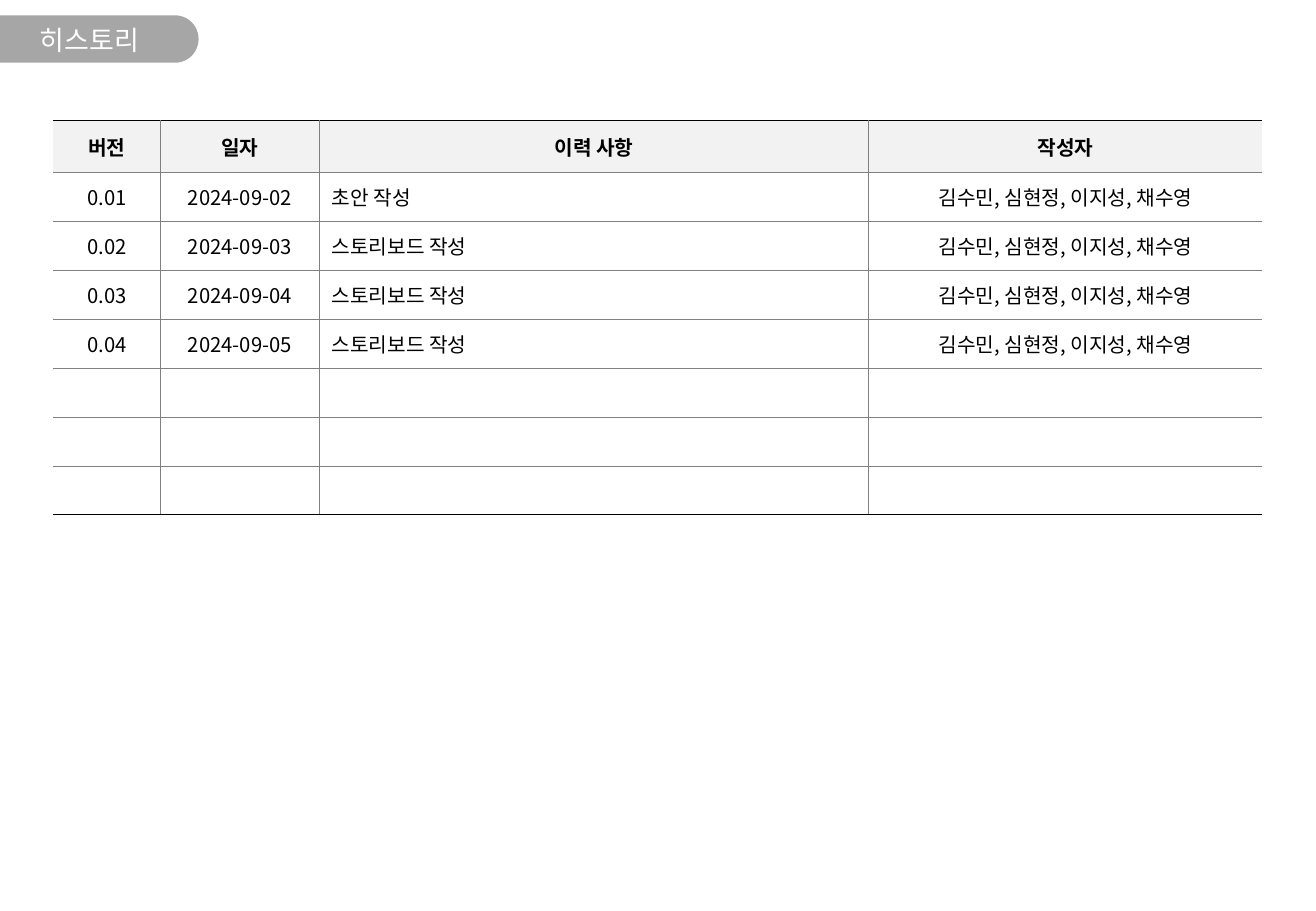
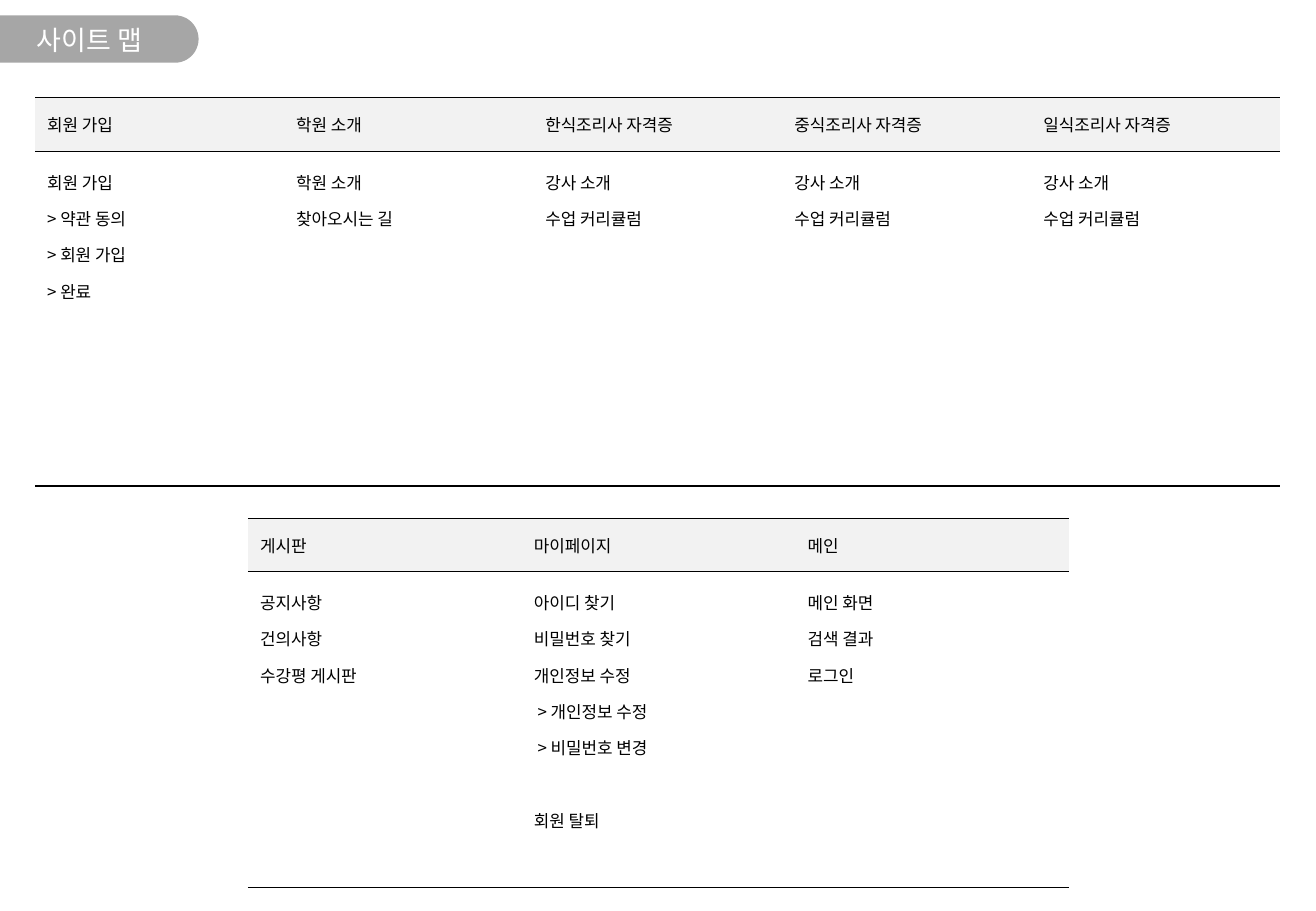
from lxml import etree
from pptx import Presentation
from pptx.dml.color import RGBColor
from pptx.enum.shapes import MSO_SHAPE
from pptx.enum.text import MSO_ANCHOR, MSO_AUTO_SIZE, PP_ALIGN
from pptx.oxml.ns import qn
from pptx.util import Inches, Pt

MIDDLE, TOP = MSO_ANCHOR.MIDDLE, MSO_ANCHOR.TOP
CENTER, LEFT = PP_ALIGN.CENTER, PP_ALIGN.LEFT
TAB = MSO_SHAPE.ROUND_2_SAME_RECTANGLE
NO_FIT = MSO_AUTO_SIZE.NONE

WIDTH, HEIGHT = Inches(10.83), Inches(7.5)
FONT = "Noto Sans CJK KR"
COLORS = {"band": "A6A6A6", "head": "F2F2F2", "page": "FFFFFF",
          "text": "000000", "rule": "000000", "grid": "808080"}
RULE, GRID = ("rule", 0.75), ("grid", 0.5)
LINE_GAP = Pt(21.6)

# Boxes are left, top, width, height in percent of the slide
BAND_BOX = (-0.05, 1.68, 15.14, 5.2)
TITLE_BOX = (-0.09, 1.73, 13.76, 5.2)
LOG_BOX = (4.06, 13.2, 91.87, 43.33)
MAIN_BOX = (2.66, 10.75, 94.64, 42.6)
MORE_BOX = (18.84, 56.87, 62.42, 40.53)
LOG_HEAD, MAP_HEAD = 5.76, 5.87

TEAM = "김수민, 심현정, 이지성, 채수영"
LOG_COLS = (0.88, 1.31, 4.52, 3.24)
LOG = [
    ("버전", "일자", "이력 사항", "작성자"),
    ("0.01", "2024-09-02", "초안 작성", TEAM),
    ("0.02", "2024-09-03", "스토리보드 작성", TEAM),
    ("0.03", "2024-09-04", "스토리보드 작성", TEAM),
    ("0.04", "2024-09-05", "스토리보드 작성", TEAM),
] + [("",) * 4] * 3

COURSE = ["강사 소개", "수업 커리큘럼"]
MAIN_MAP = {
    "회원 가입": ["회원 가입", "> 약관 동의", "> 회원 가입", "> 완료"],
    "학원 소개": ["학원 소개", "찾아오시는 길"],
    "한식조리사 자격증": COURSE,
    "중식조리사 자격증": COURSE,
    "일식조리사 자격증": COURSE,
}
# An empty entry opens a gap above the next one
MORE_MAP = {
    "게시판": ["공지사항", "건의사항", "수강평 게시판"],
    "마이페이지": ["아이디 찾기", "비밀번호 찾기", "개인정보 수정",
              " > 개인정보 수정", " > 비밀번호 변경", "", "회원 탈퇴"],
    "메인": ["메인 화면", "검색 결과", "로그인"],
}


def rgb(name):
    return RGBColor.from_string(COLORS[name])


def scale(box):
    x, y, w, h = box
    return [int(v) for v in (WIDTH * x / 100, HEIGHT * y / 100,
                             WIDTH * w / 100, HEIGHT * h / 100)]


def style(para, size, color="text", bold=False, align=LEFT):
    para.alignment = align
    font = para.font
    font.size, font.bold, font.name = Pt(size), bold, FONT
    font.color.rgb = rgb(color)
    props = para._p.pPr.find(qn("a:defRPr"))
    etree.SubElement(props, qn("a:ea"), typeface=FONT)
    if not para.text:
        etree.SubElement(para._p, qn("a:endParaRPr"), sz=str(size * 100))


def edge(cell, sides):
    """Draw the cell's borders; a side set to None stays clear."""
    props = cell._tc.get_or_add_tcPr()
    for side in "LRTB":
        line = etree.SubElement(props, qn("a:ln" + side))
        if sides.get(side):
            color, width = sides[side]
            line.set("w", str(int(Pt(width))))
            fill = etree.SubElement(line, qn("a:solidFill"))
            etree.SubElement(fill, qn("a:srgbClr"), val=COLORS[color])
        else:
            etree.SubElement(line, qn("a:noFill"))


def grid(slide, box, cols, count, head):
    """Add a plain table: one head row, then equal rows."""
    x, y, w, h = scale(box)
    table = slide.shapes.add_table(count, len(cols), x, y, w, h).table
    table.first_row = table.horz_banding = False
    for col, share in zip(table.columns, cols):
        col.width = int(w * share / sum(cols))
    top = int(HEIGHT * head / 100)
    for i, row in enumerate(table.rows):
        row.height = int((h - top) / (count - 1)) if i else top
    return table


def paint(cell, sides, color, anchor):
    edge(cell, sides)
    cell.fill.solid()
    cell.fill.fore_color.rgb = rgb(color)
    cell.vertical_anchor = anchor


def log_table(slide, box):
    """Version history."""
    table = grid(slide, box, LOG_COLS, len(LOG), LOG_HEAD)
    last, end = len(LOG) - 1, len(LOG_COLS) - 1
    for r, row in enumerate(LOG):
        for c, text in enumerate(row):
            cell = table.cell(r, c)
            cell.text = text
            sides = {"L": GRID if c else None,
                     "R": GRID if c < end else None,
                     "T": GRID if r else RULE,
                     "B": GRID if r < last else RULE}
            paint(cell, sides, "page" if r else "head", MIDDLE)
            style(cell.text_frame.paragraphs[0], 12, bold=r == 0,
                  align=LEFT if r and c == 2 else CENTER)


def map_table(slide, box, pages):
    """Site sections over the lists of their pages."""
    table = grid(slide, box, [1] * len(pages), 2, MAP_HEAD)
    sides = {"T": RULE, "B": RULE}
    for c, (name, items) in enumerate(pages.items()):
        head, body = table.cell(0, c), table.cell(1, c)
        head.text = name
        paint(head, sides, "head", MIDDLE)
        style(head.text_frame.paragraphs[0], 10)
        body.text = "\n".join(filter(None, items))
        paint(body, sides, "page", TOP)
        shown = [i for i, item in enumerate(items) if item]
        for i, para in zip(shown, body.text_frame.paragraphs):
            para.line_spacing = 1.5
            if i and not items[i - 1]:
                para.space_before = LINE_GAP
            style(para, 10)


def add_band(slide, layout, box):
    """Put the grey title band on the layout, under every title."""
    x, y, w, h = scale(box)
    band = slide.shapes.add_shape(TAB, x + (w - h) // 2, y - (w - h) // 2, h, w)
    band.rotation = 270
    band.adjustments[0], band.adjustments[1] = 0, 0.5
    band.shadow.inherit = False
    band.fill.solid()
    band.fill.fore_color.rgb = rgb("band")
    band.line.fill.background()
    layout.shapes.element.append(band.element)


def add_page(deck, layout, text):
    slide = deck.slides.add_slide(layout)
    title = slide.shapes.title
    title.left, title.top, title.width, title.height = scale(TITLE_BOX)
    title.text = text
    frame = title.text_frame
    frame.auto_size, frame.vertical_anchor = NO_FIT, MIDDLE
    style(frame.paragraphs[0], 16, "page", align=CENTER)
    return slide


def main():
    deck = Presentation()
    deck.slide_width, deck.slide_height = WIDTH, HEIGHT
    layout = deck.slide_layouts[5]

    # History
    slide = add_page(deck, layout, "히스토리")
    add_band(slide, layout, BAND_BOX)
    log_table(slide, LOG_BOX)

    # Site map
    slide = add_page(deck, layout, "사이트 맵")
    map_table(slide, MAIN_BOX, MAIN_MAP)
    map_table(slide, MORE_BOX, MORE_MAP)

    deck.save("out.pptx")


if __name__ == "__main__":
    main()
